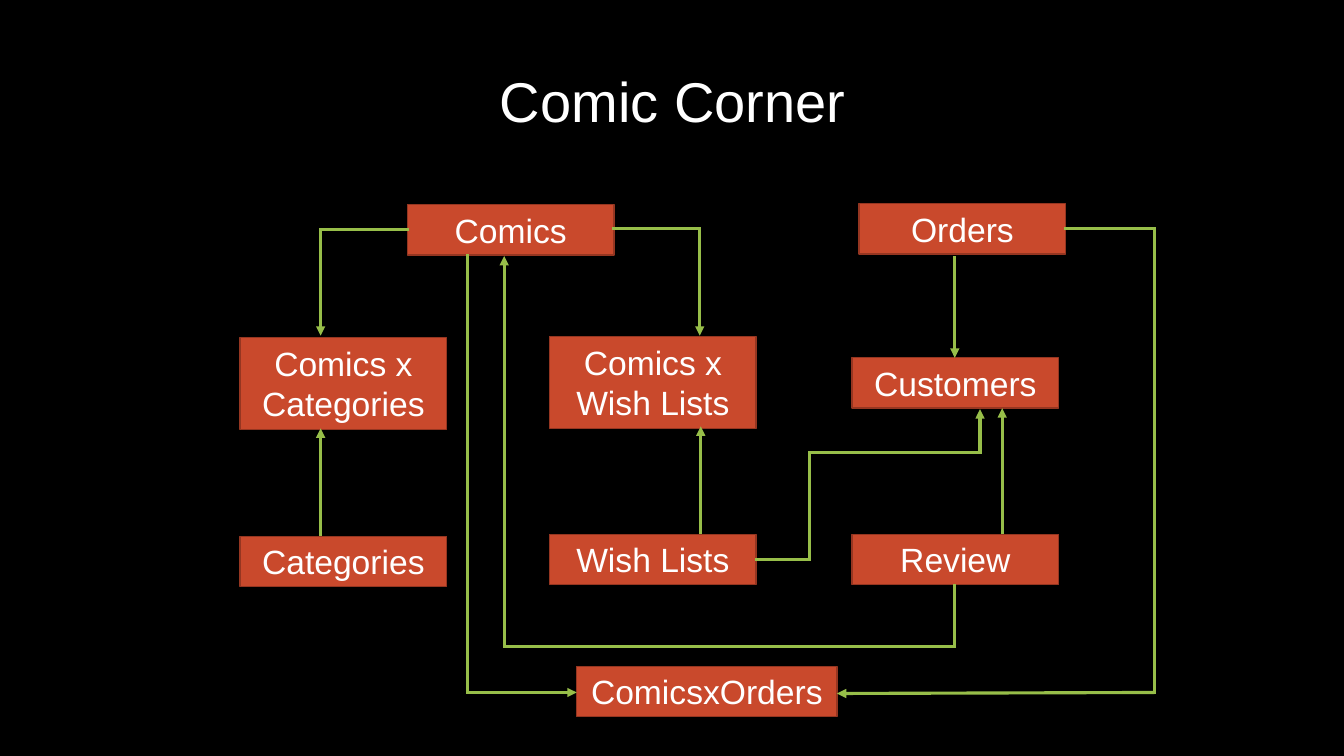
from lxml.etree import SubElement
from pptx import Presentation
from pptx.dml.color import RGBColor
from pptx.enum.shapes import MSO_CONNECTOR, MSO_SHAPE
from pptx.enum.text import MSO_ANCHOR, MSO_AUTO_SIZE, PP_ALIGN
from pptx.oxml.ns import qn
from pptx.util import Inches, Pt

COLORS = {
    "background": "000000",
    "text": "FFFFFF",
    "box": "C9492C",
    "border": "953621",
    "arrow": "97BE49",
}

# Grid in inches: left edges of box columns, and box sizes
COLUMNS = {"categories": 2.38, "comics": 4.04, "lists": 5.45,
           "junction": 5.72, "customers": 8.45, "orders": 8.52}
BOX_WIDTH, WIDE_BOX = 2.05, 2.58
ONE_LINE, TWO_LINES = 0.5, 0.91


def color(name):
    return RGBColor.from_string(COLORS[name])


def write_text(shape, text, size=24, anchor=MSO_ANCHOR.TOP,
               auto_size=MSO_AUTO_SIZE.SHAPE_TO_FIT_TEXT, line_spacing=1.0):
    frame = shape.text_frame
    frame.text = text
    frame.word_wrap = True
    frame.auto_size = auto_size
    frame.vertical_anchor = anchor
    paragraph = frame.paragraphs[0]
    paragraph.alignment = PP_ALIGN.CENTER
    paragraph.line_spacing = line_spacing
    font = paragraph.runs[0].font
    font.name = "Arial"
    font.size = Pt(size)
    font.color.rgb = color("text")


presentation = Presentation()
presentation.slide_width = Inches(13.33)
presentation.slide_height = Inches(7.5)
slide = presentation.slides.add_slide(presentation.slide_layouts[5])
slide.background.fill.solid()
slide.background.fill.fore_color.rgb = color("background")

# Title
title = slide.shapes.title
title.left, title.top = Inches(0.92), Inches(0.4)
title.width, title.height = Inches(11.5), Inches(1.27)
write_text(title, "Comic Corner", size=40, anchor=MSO_ANCHOR.MIDDLE,
           auto_size=MSO_AUTO_SIZE.NONE, line_spacing=0.9)

# Table boxes: text, column, top, width, height
boxes = [
    ("Comics", "comics", 2.03, BOX_WIDTH, ONE_LINE),
    ("Orders", "orders", 2.02, BOX_WIDTH, ONE_LINE),
    ("Categories", "categories", 5.32, BOX_WIDTH, ONE_LINE),
    ("Customers", "customers", 3.55, BOX_WIDTH, ONE_LINE),
    ("Review", "customers", 5.3, BOX_WIDTH, ONE_LINE),
    ("Wish Lists", "lists", 5.3, BOX_WIDTH, ONE_LINE),
    ("Comics x Categories", "categories", 3.35, BOX_WIDTH, TWO_LINES),
    ("Comics x Wish Lists", "lists", 3.34, BOX_WIDTH, TWO_LINES),
    ("ComicsxOrders", "junction", 6.61, WIDE_BOX, ONE_LINE),
]
for text, column, top, width, height in boxes:
    box = slide.shapes.add_shape(
        MSO_SHAPE.RECTANGLE, Inches(COLUMNS[column]), Inches(top),
        Inches(width), Inches(height))
    box.shadow.inherit = False
    box.fill.solid()
    box.fill.fore_color.rgb = color("box")
    box.line.color.rgb = color("border")
    box.line.width = Pt(1)
    write_text(box, text)

# Relations: corner points of each route, with an arrowhead at the last one
routes = [
    [(4.04, 2.28), (3.18, 2.28), (3.18, 3.33)],  # Comics to Comics x Categories
    [(3.18, 5.32), (3.18, 4.25)],  # Categories to Comics x Categories
    [(6.09, 2.27), (6.94, 2.27), (6.94, 3.33)],  # Comics to Comics x Wish Lists
    [(6.95, 5.3), (6.95, 4.23)],  # Wish Lists to Comics x Wish Lists
    [(9.47, 2.54), (9.47, 3.55)],  # Orders to Customers
    [(9.94, 5.3), (9.94, 4.05)],  # Review to Customers
    [(7.5, 5.55), (8.03, 5.55), (8.03, 4.49), (9.72, 4.49),
     (9.72, 4.06)],  # Wish Lists to Customers
    [(9.47, 5.81), (9.47, 6.41), (5, 6.41), (5, 2.54)],  # Review to Comics
    [(4.64, 2.54), (4.64, 6.87), (5.72, 6.87)],  # Comics to ComicsxOrders
    [(10.57, 2.27), (11.45, 2.27), (11.45, 6.87),
     (8.3, 6.88)],  # Orders to ComicsxOrders
]
for route in routes:
    for start, end in zip(route, route[1:]):
        connector = slide.shapes.add_connector(
            MSO_CONNECTOR.STRAIGHT, *map(Inches, start + end))
        connector.line.color.rgb = color("arrow")
        connector.line.width = Pt(2.25)
        properties = connector._element.spPr
        outline = properties.find(qn("a:ln"))
        if end == route[-1]:
            SubElement(outline, qn("a:tailEnd"), type="triangle")
        else:
            outline.set("cap", "sq")  # fills the corner
        SubElement(properties, qn("a:effectLst"))

presentation.save("out.pptx")
